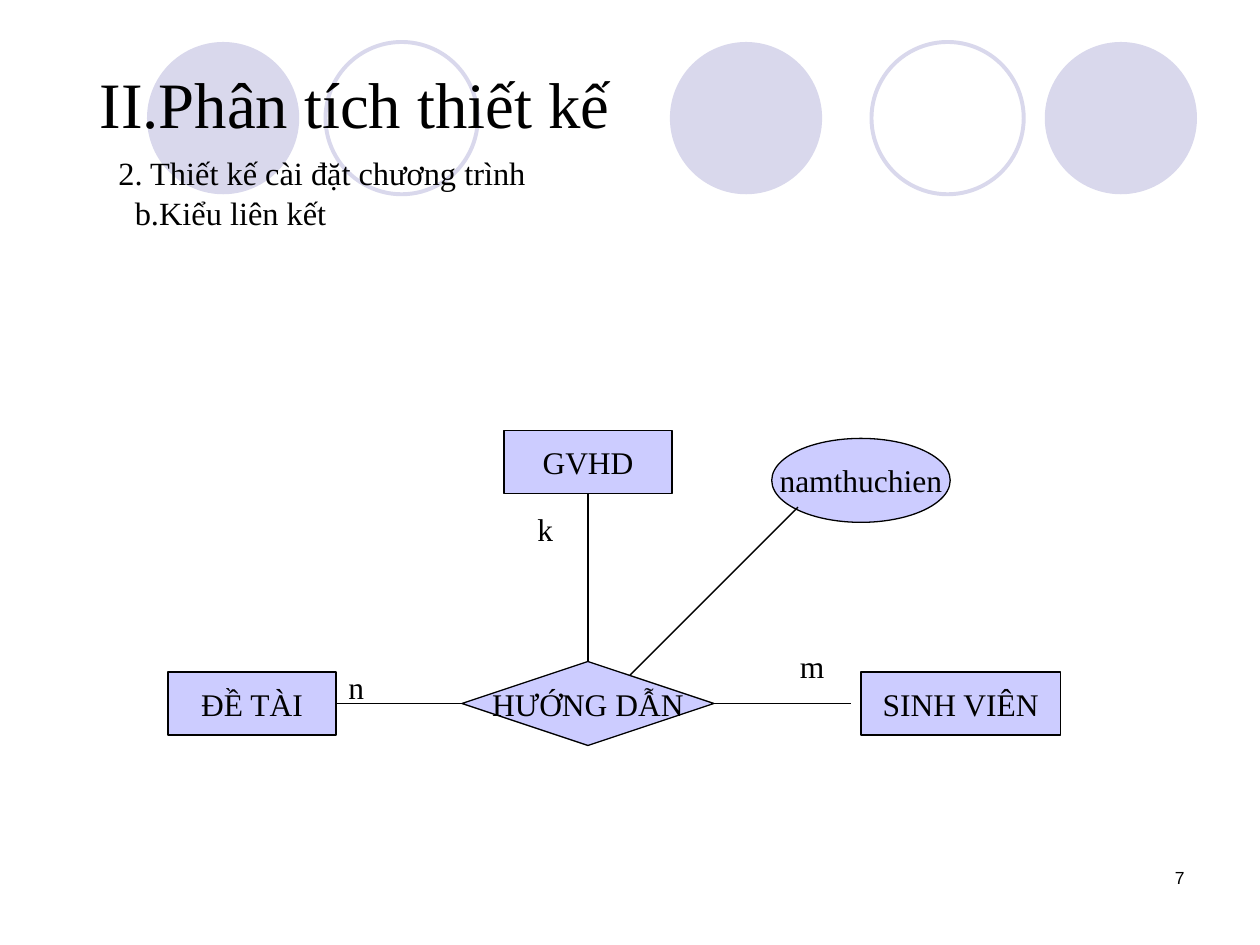
"""Build a slide with an entity-relationship diagram of a ternary link."""
from lxml.etree import SubElement
from pptx import Presentation
from pptx.dml.color import RGBColor
from pptx.enum.shapes import MSO_CONNECTOR, MSO_SHAPE
from pptx.enum.text import MSO_ANCHOR, PP_ALIGN
from pptx.oxml.ns import qn
from pptx.util import Inches, Pt

BLACK = RGBColor(0x00, 0x00, 0x00)
LAVENDER = RGBColor(0xCC, 0xCC, 0xFF)
PALE = RGBColor(0xD9, 0xD8, 0xEC)
SERIF, SANS = "Times New Roman", "Arial"

COLUMNS, ROWS = 120, 90
CIRCLE_TOP, CIRCLE_SIZE = 4, 14.5
CIRCLES = [(14, True), (31, False), (63.8, True), (83, False), (99.5, True)]
HEADINGS = [
    ("II.Phân tích thiết kế", 37, 0, 0),
    ("2. Thiết kế cài đặt chương trình", 18.5, 0.15, 6.5),
    ("b.Kiểu liên kết", 18.5, 0.28, 1),
]
NODES = [
    ("ĐỀ TÀI", MSO_SHAPE.RECTANGLE, (16, 64, 16, 6)),
    ("SINH VIÊN", MSO_SHAPE.RECTANGLE, (82, 64, 19, 6)),
    ("HƯỚNG DẪN", MSO_SHAPE.DIAMOND, (44, 63, 24, 8)),
    ("GVHD", MSO_SHAPE.RECTANGLE, (48, 41, 16, 6)),
    ("namthuchien", MSO_SHAPE.OVAL, (73.5, 41.75, 17, 8)),
]
LINKS = [
    ((32, 67), (44, 67), ("ĐỀ TÀI", 3), ("HƯỚNG DẪN", 1)),
    ((68, 67), (81, 67), ("HƯỚNG DẪN", 3), None),
    ((56, 63), (56, 47), ("HƯỚNG DẪN", 0), ("GVHD", 2)),
    ((60, 64.3), (76, 48.3), None, None),
]
CARDINALITIES = [("n", 32, 63), ("m", 75, 61), ("k", 50, 48)]

presentation = Presentation()
presentation.slide_width, presentation.slide_height = Inches(10), Inches(7.5)
slide = presentation.slides.add_slide(presentation.slide_layouts[6])
CELL_WIDTH = presentation.slide_width / COLUMNS
CELL_HEIGHT = presentation.slide_height / ROWS


def place(column, row):
    return round(column * CELL_WIDTH), round(row * CELL_HEIGHT)


def write(paragraph, text, size=18, font=SERIF, align=PP_ALIGN.LEFT, indent=0, before=0):
    paragraph.text = text
    paragraph.alignment = align
    paragraph.space_before = Pt(before)
    paragraph._p.get_or_add_pPr().set("marL", str(Inches(indent)))
    paragraph.font.size = Pt(size)
    paragraph.font.name = font
    paragraph.font.color.rgb = BLACK


def add_text_frame(column, row, width, height):
    box = slide.shapes.add_textbox(*place(column, row), *place(width, height))
    box.text_frame.word_wrap = True
    return box.text_frame


def add_shape(kind, column, row, width, height, fill=None, line=None, weight=0.75):
    shape = slide.shapes.add_shape(kind, *place(column, row), *place(width, height))
    shape.shadow.inherit = False
    if fill is None:
        shape.fill.background()
    else:
        shape.fill.solid()
        shape.fill.fore_color.rgb = fill
    if line is None:
        shape.line.fill.background()
    else:
        shape.line.color.rgb = line
        shape.line.width = Pt(weight)
    return shape


def add_node(text, kind, cells):
    shape = add_shape(kind, *cells, fill=LAVENDER, line=BLACK)
    shape.text_frame.word_wrap = False
    shape.text_frame.vertical_anchor = MSO_ANCHOR.MIDDLE
    write(shape.text_frame.paragraphs[0], text, align=PP_ALIGN.CENTER)
    return shape


def add_link(start, end, source, target, nodes):
    connector = slide.shapes.add_connector(MSO_CONNECTOR.STRAIGHT, *place(*start), *place(*end))
    if source:
        connector.begin_connect(nodes[source[0]], source[1])
    if target:
        connector.end_connect(nodes[target[0]], target[1])
    connector.line.color.rgb = BLACK
    connector.line.width = Pt(0.75)
    SubElement(connector._element.spPr, qn("a:effectLst"))


for column, filled in CIRCLES:
    style = {"fill": PALE} if filled else {"line": PALE, "weight": 2.25}
    add_shape(MSO_SHAPE.OVAL, column, CIRCLE_TOP, CIRCLE_SIZE, CIRCLE_SIZE, **style)

heading_frame = add_text_frame(8.3, 5.5, 100, 17)
for index, (text, size, indent, before) in enumerate(HEADINGS):
    paragraph = heading_frame.add_paragraph() if index else heading_frame.paragraphs[0]
    write(paragraph, text, size=size, indent=indent, before=before)

nodes = {text: add_node(text, kind, cells) for text, kind, cells in NODES}
for link in LINKS:
    add_link(*link, nodes)
for text, column, row in CARDINALITIES:
    write(add_text_frame(column, row, 5, 4.8).paragraphs[0], text)

number_frame = add_text_frame(86, 82, 28, 6)
write(number_frame.paragraphs[0], "7", size=10, font=SANS, align=PP_ALIGN.RIGHT)

presentation.save("out.pptx")
